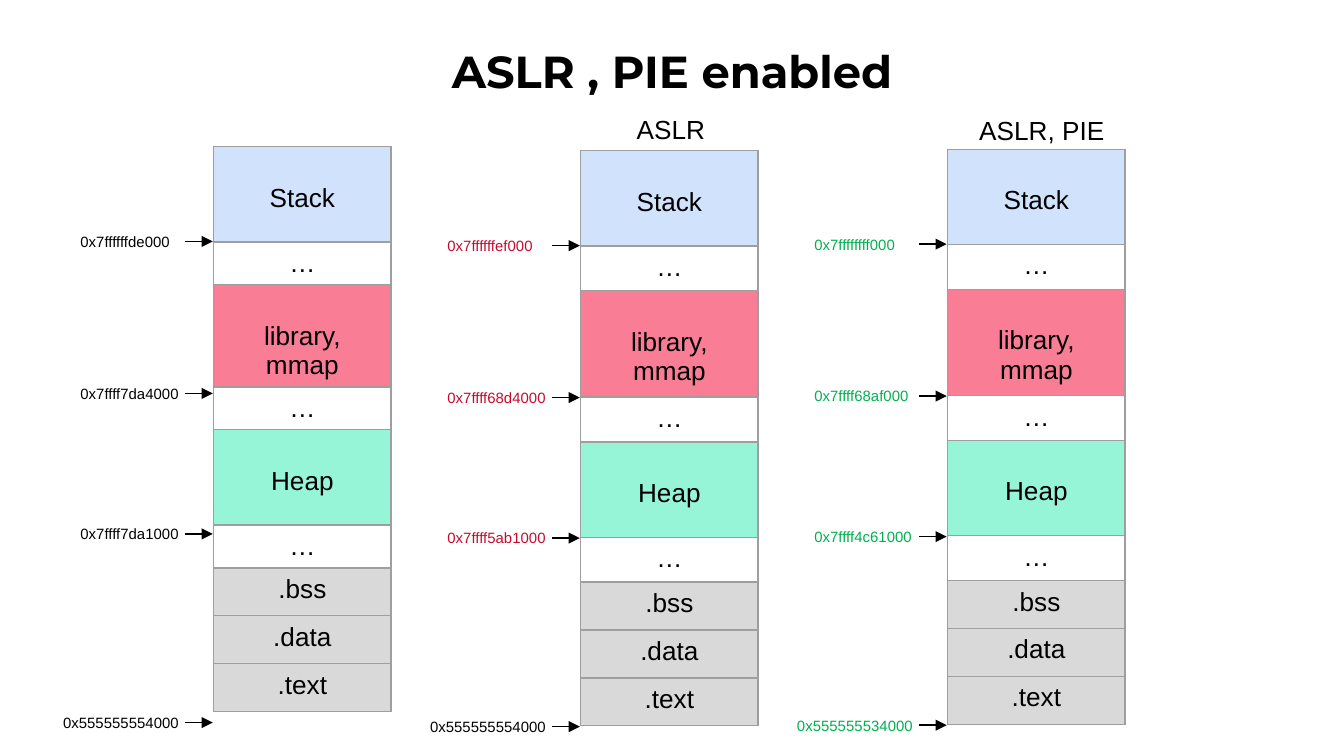
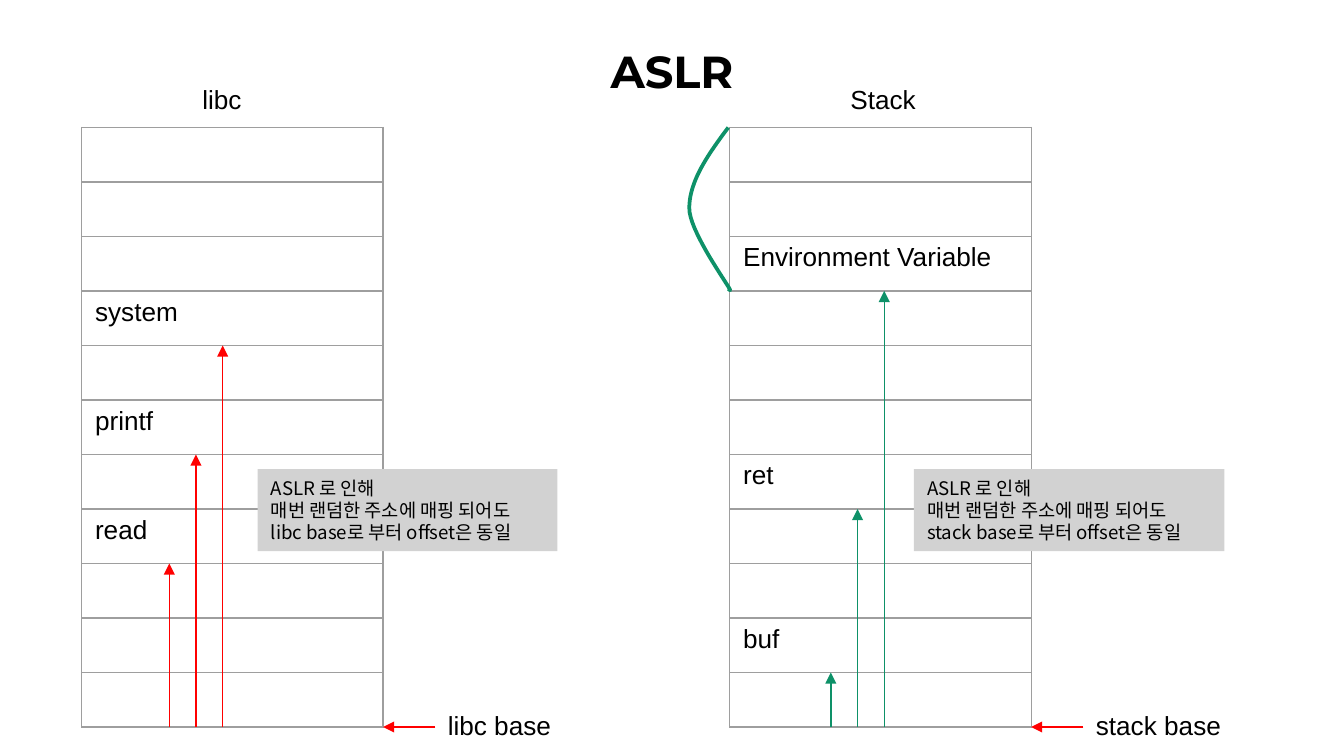
import pptx
import pptx.chart.data
import pptx.dml.color
import pptx.enum.shapes
import pptx.enum.text
import pptx.oxml
import pptx.oxml.ns
import pptx.util
from lxml import etree

Pt = pptx.util.Pt
qn = pptx.oxml.ns.qn
ALIGN = pptx.enum.text.PP_ALIGN
ANCHOR = pptx.enum.text.MSO_ANCHOR

COLORS = {
    "black": "000000", "border": "9E9E9E", "note": "D2D2D2",
    "stack": "D1E2FD", "library": "F87D95", "heap": "97F5D7", "segment": "D9D9D9",
    "crimson": "C40B2F", "green": "00B050", "red": "FF0000", "teal": "0E9168",
}
BODY_FONT, TITLE_FONT, KOREAN_FONT = "Arial", "Montserrat", "Noto Sans CJK KR"
LINE_14PT = 16.1

# Memory layout rows: text, height, fill, whether the text starts on the second line
SEGMENTS = [
    ("Stack", 51, "stack", True), ("…", 21, None, False),
    ("library, mmap", 51, "library", True), ("…", 21, None, False),
    ("Heap", 51, "heap", True), ("…", 21, None, False),
    (".bss", 25.7, "segment", False), (".data", 25.7, "segment", False),
    (".text", 25.7, "segment", False),
]
MEMORY_W = 95
ADDRESS_Y = [50.8, 132.2, 207.5, 308.5]

# Offset diagrams
ROW_COUNT, ROW_H, OFFSET_W = 11, 29.2, 161.5


def rgb(name):
    return pptx.dml.color.RGBColor.from_string(COLORS[name])


def add_run(p, text, size=14, color="black", font=BODY_FONT, bold=False):
    r = p.add_run()
    r.text = text
    r.font.size = Pt(size)
    r.font.name = font
    r.font.bold = bold
    r.font.color.rgb = rgb(color)
    if font == KOREAN_FONT:
        etree.SubElement(r.font._element, qn("a:ea")).set("typeface", font)


def add_label(slide, x, y, w, text, size=14, color="black"):
    tb = slide.shapes.add_textbox(Pt(x), Pt(y), Pt(w), Pt(size * 1.2 + 7.5))
    tb.text_frame.word_wrap = True
    add_run(tb.text_frame.paragraphs[0], text, size, color)


def add_arrow(slide, x1, y1, x2, y2, color="black"):
    c = slide.shapes.add_connector(
        pptx.enum.shapes.MSO_CONNECTOR.STRAIGHT, Pt(x1), Pt(y1), Pt(x2), Pt(y2))
    c.line.color.rgb = rgb(color)
    c.line.width = Pt(0.75)
    etree.SubElement(c.line._get_or_add_ln(), qn("a:tailEnd")).set("type", "triangle")
    etree.SubElement(c._element.spPr, qn("a:effectLst"))


def add_column_table(slide, x, y, w, heights):
    """One-column table with thin grey borders and no fill; returns its cells."""
    frame = slide.shapes.add_table(len(heights), 1, Pt(x), Pt(y), Pt(w), Pt(sum(heights)))
    table = frame.table
    table.first_row = table.horz_banding = False
    table.columns[0].width = Pt(w)
    cells = []
    for i, height in enumerate(heights):
        table.rows[i].height = Pt(height)
        cell = table.cell(i, 0)
        cell.fill.background()
        tcPr = cell._tc.get_or_add_tcPr()
        for pos, side in enumerate(("lnL", "lnR", "lnT", "lnB")):
            ln = etree.Element(qn("a:" + side), w=str(Pt(0.75)))
            fill = etree.SubElement(ln, qn("a:solidFill"))
            etree.SubElement(fill, qn("a:srgbClr")).set("val", COLORS["border"])
            tcPr.insert(pos, ln)
        cells.append(cell)
    return cells


def add_titled_slide(prs, title):
    slide = prs.slides.add_slide(prs.slide_layouts[5])
    sp = slide.shapes.title
    sp.left, sp.top, sp.width, sp.height = Pt(35.5), Pt(16), Pt(649), Pt(44)
    tf = sp.text_frame
    tf.margin_left = tf.margin_right = tf.margin_top = tf.margin_bottom = Pt(7.2)
    tf.vertical_anchor = ANCHOR.TOP
    p = tf.paragraphs[0]
    p.alignment = ALIGN.CENTER
    add_run(p, title, 24, font=TITLE_FONT, bold=True)
    return slide


def add_memory_map(slide, x, y, addresses, color, base_color):
    """Memory layout at (x, y), with the addresses and arrows to its left."""
    cells = add_column_table(slide, x, y, MEMORY_W, [s[1] for s in SEGMENTS])
    for cell, (text, _, fill, second_line) in zip(cells, SEGMENTS):
        if fill:
            cell.fill.solid()
            cell.fill.fore_color.rgb = rgb(fill)
        if second_line:
            cell.margin_top = Pt(3.6 + LINE_14PT)
        p = cell.text_frame.paragraphs[0]
        p.alignment = ALIGN.CENTER
        add_run(p, text)

    for i, (address, dy) in enumerate(zip(addresses, ADDRESS_Y)):
        is_base = i == len(addresses) - 1
        add_arrow(slide, x - 15.5, y + dy, x - 0.5, y + dy)
        add_label(slide, x - (87.8 if is_base else 78.5), y + dy - 8.4, 78, address, 8,
                  base_color if is_base else color)


def add_brace(slide, x, y):
    """Curve to the left of the top three rows of a table at (x, y)."""
    curves = [
        [(-0.7, 0), (-11.5, 14.4), (-21.6, 28.8), (-21.6, 43.2)],
        [(-21.6, 43.2), (-21.6, 57.6), (5.8, 92.9), (-0.7, 86.4)],
    ]
    steps = 20
    points = []
    for curve in curves:
        for t in (k / steps for k in range(steps + 1)):
            weights = ((1 - t) ** 3, 3 * t * (1 - t) ** 2, 3 * t * t * (1 - t), t ** 3)
            px, py = (sum(w * c[axis] for w, c in zip(weights, curve)) for axis in (0, 1))
            points.append((Pt(x + px), Pt(y + py)))
    fb = slide.shapes.build_freeform(*points[0])
    fb.add_line_segments(points[1:], close=False)
    sp = fb.convert_to_shape()
    sp.shadow.inherit = False
    sp.fill.background()
    sp.line.color.rgb = rgb("teal")
    sp.line.width = Pt(2)


def add_note(slide, x, y, w, lines):
    sp = slide.shapes.add_shape(
        pptx.enum.shapes.MSO_SHAPE.RECTANGLE, Pt(x), Pt(y), Pt(w), Pt(44))
    sp.shadow.inherit = False
    sp.fill.solid()
    sp.fill.fore_color.rgb = rgb("note")
    sp.line.fill.background()
    tf = sp.text_frame
    tf.word_wrap = True
    tf.vertical_anchor = ANCHOR.MIDDLE
    for i, line in enumerate(lines):
        p = tf.add_paragraph() if i else tf.paragraphs[0]
        p.alignment = ALIGN.LEFT
        p.line_spacing = Pt(11.9)
        add_run(p, line, 10, font=KOREAN_FONT)


def add_offset_diagram(slide, x, y, name, base, entries, color, arrow_dx, note_dx, note_w):
    """Table at (x, y) with an arrow from its base up to each named row."""
    bottom = y + ROW_COUNT * ROW_H
    right = x + OFFSET_W
    add_label(slide, x + 57.6, y - 27.4, 113, name)
    cells = add_column_table(slide, x, y, OFFSET_W, [ROW_H] * ROW_COUNT)
    for row, text in entries.items():
        add_run(cells[row].text_frame.paragraphs[0], text)

    # Offsets, shortest first
    for i, row in enumerate(sorted(entries, reverse=True)):
        ax = x + arrow_dx + i * 14.3
        add_arrow(slide, ax, bottom, ax, y + (row + 1) * ROW_H, color)

    # Base address
    add_arrow(slide, right + 28, bottom, right, bottom, "red")
    add_label(slide, right + 27.6, bottom - 13, 113, base)

    add_note(slide, x + note_dx, y + 183, note_w, [
        "ASLR 로 인해",
        f"매번 랜덤한 주소에 매핑 되어도 {base}로 부터 offset은 동일",
    ])


def build_memory_slide(prs):
    slide = add_titled_slide(prs, "ASLR , PIE enabled")
    left, pitch = 114.5, 196.6
    maps = [
        (78.6, "black", "black",
         ["0x7ffffffde000", "0x7ffff7da4000", "0x7ffff7da1000", "0x555555554000"]),
        (80.8, "crimson", "black",
         ["0x7ffffffef000", "0x7ffff68d4000", "0x7ffff5ab1000", "0x555555554000"]),
        (80, "green", "green",
         ["0x7ffffffff000", "0x7ffff68af000", "0x7ffff4c61000", "0x555555534000"]),
    ]
    for i, (top, color, base_color, addresses) in enumerate(maps):
        add_memory_map(slide, left + i * pitch, top, addresses, color, base_color)
    add_label(slide, 334, 57, 95, "ASLR")
    add_label(slide, 517.5, 57.8, 95, "ASLR, PIE")


def build_offset_slide(prs):
    slide = add_titled_slide(prs, "ASLR")
    top, libc_x, stack_x = 68.3, 43.7, 390.9
    add_offset_diagram(slide, libc_x, top, "libc", "libc base",
                       {3: "system", 5: "printf", 7: "read"}, "red", 47, 94.4, 160.6)
    add_offset_diagram(slide, stack_x, top, "Stack", "stack base",
                       {2: "Environment Variable", 6: "ret", 9: "buf"}, "teal", 54.2, 98.7, 166.3)
    add_brace(slide, stack_x, top)


def main():
    prs = pptx.Presentation()
    prs.slide_width, prs.slide_height = Pt(720), Pt(405)
    build_memory_slide(prs)
    build_offset_slide(prs)
    prs.save("out.pptx")


if __name__ == "__main__":
    main()
